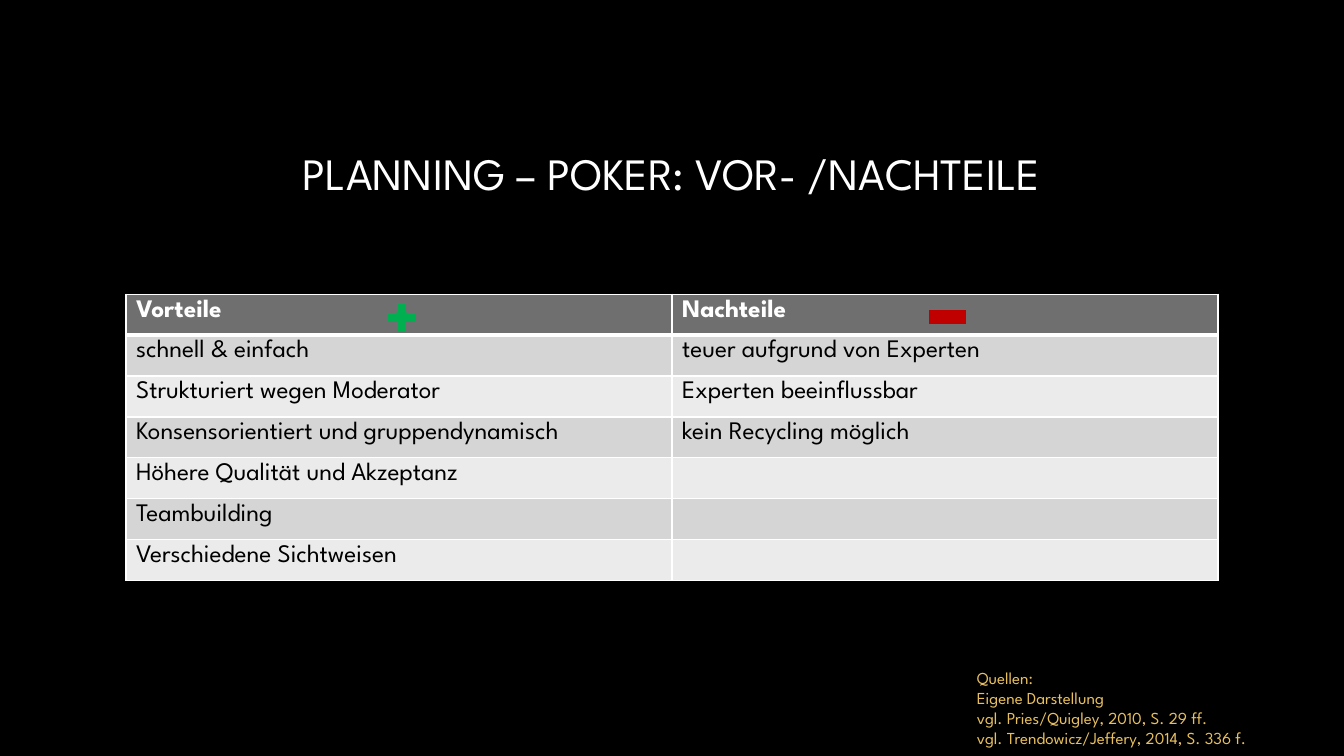
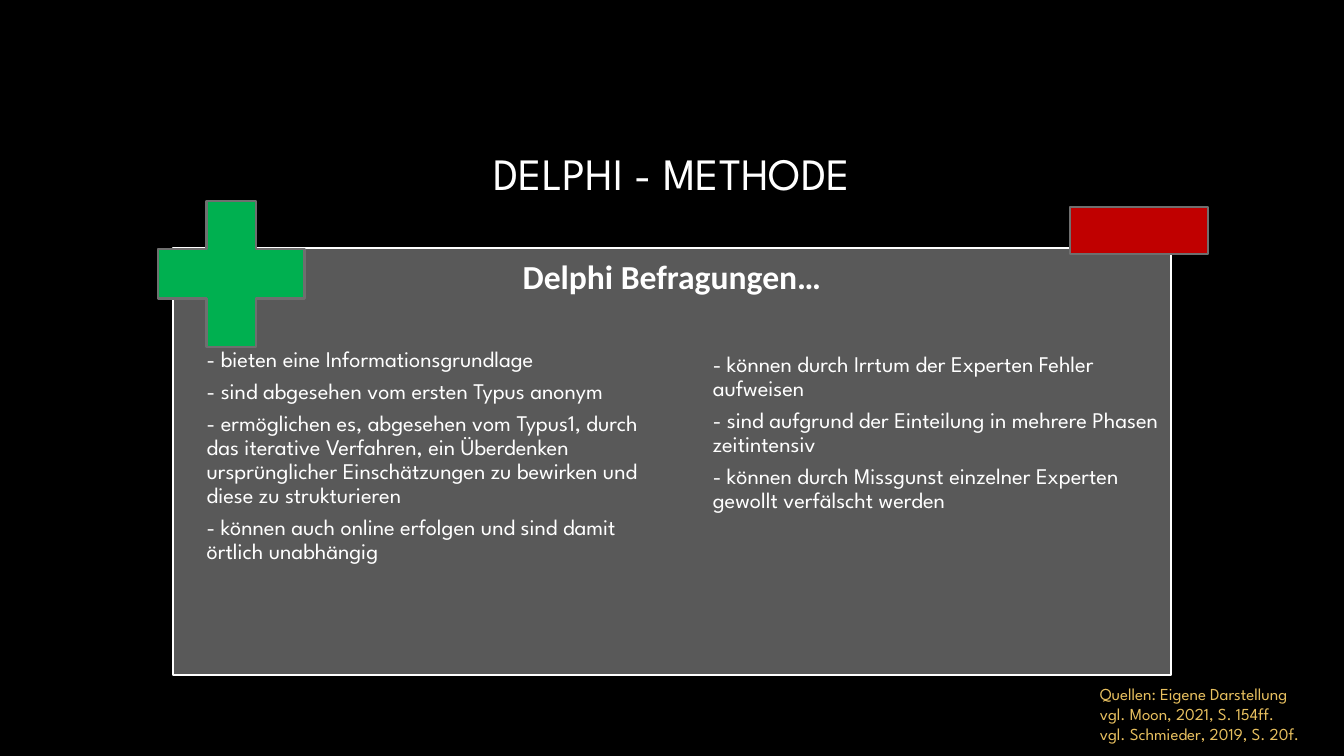
import pptx
import pptx.util
import pptx.dml.color
import pptx.enum.shapes
import pptx.enum.text
import pptx.oxml
import pptx.oxml.ns
from pptx.util import Inches

SHAPE = pptx.enum.shapes.MSO_SHAPE
ALIGN = pptx.enum.text.PP_ALIGN
ANCHOR = pptx.enum.text.MSO_ANCHOR

BLACK, WHITE, GOLD = "000000", "FFFFFF", "E7BF5F"
GREEN, RED = "00B050", "C00000"
GREY, PANEL, BAND_DARK, BAND_LIGHT = "6F6F6F", "595959", "D5D5D5", "EBEBEB"

TITLE = {"size": 32, "color": WHITE}
SOURCE = {"size": 12, "color": GOLD}
POINTS = {"size": 16, "color": WHITE}
HEADING = {"size": 24, "color": WHITE, "bold": True, "name": "Calibri"}
TABLE_HEAD = {"size": 18, "color": WHITE, "bold": True}
TABLE_BODY = {"size": 18, "color": BLACK, "bold": False}
POINT_SPACING = {"line_spacing": 0.9, "space_after": pptx.util.Pt(5.6)}
HEADING_SPACING = {"alignment": ALIGN.CENTER, "line_spacing": 1.07,
                   "space_after": pptx.util.Pt(8)}


def rgb(value):
    return pptx.dml.color.RGBColor.from_string(value)


def apply(target, values):
    for name, value in values.items():
        setattr(target, name, value)


class Presenter:
    font = "League Spartan"

    def __init__(self):
        self.deck = pptx.Presentation()
        self.deck.slide_width = Inches(13.33)
        self.deck.slide_height = Inches(7.5)
        self.page = None

    def add_page(self, title):
        self.page = self.deck.slides.add_slide(self.deck.slide_layouts[5])
        self.page.background.fill.solid()
        self.page.background.fill.fore_color.rgb = rgb(BLACK)
        box = self.page.shapes.title
        apply(box, {"left": Inches(1.25), "top": Inches(0.67),
                    "width": Inches(10.83), "height": Inches(2.08)})
        box.text_frame.vertical_anchor = ANCHOR.MIDDLE
        self.set_text(box.text_frame, [title], TITLE, {"alignment": ALIGN.CENTER})

    def set_text(self, frame, lines, style, spacing=None):
        values = {"name": self.font, **style}
        color = rgb(values.pop("color"))
        values["size"] = pptx.util.Pt(values["size"])
        frame.text = "\n".join(lines)
        for para in frame.paragraphs:
            apply(para, spacing or {})
            for span in para.runs:
                apply(span.font, values)
                span.font.color.rgb = color

    def text(self, left, top, width, height, lines, style, spacing=None, inset=None):
        box = self.page.shapes.add_textbox(
            Inches(left), Inches(top), Inches(width), Inches(height))
        frame = box.text_frame
        frame.word_wrap = True
        if inset is not None:
            apply(frame, {f"margin_{side}": Inches(inset)
                          for side in ("left", "top", "right", "bottom")})
        self.set_text(frame, lines, style, spacing)

    def shape(self, kind, left, top, width, height, fill, line=GREY):
        shape = self.page.shapes.add_shape(
            kind, Inches(left), Inches(top), Inches(width), Inches(height))
        shape.shadow.inherit = False
        shape.fill.solid()
        shape.fill.fore_color.rgb = rgb(fill)
        shape.line.color.rgb = rgb(line)
        shape.line.width = pptx.util.Pt(1.5)
        return shape

    def plus(self, left, top, width, height):
        self.shape(SHAPE.CROSS, left, top, width, height, GREEN).adjustments[0] = 0.33

    def minus(self, left, top, width, height):
        self.shape(SHAPE.RECTANGLE, left, top, width, height, RED)

    def line(self, start, end, color):
        line = self.page.shapes.add_connector(
            pptx.enum.shapes.MSO_CONNECTOR.STRAIGHT,
            *(Inches(value) for value in start + end))
        line.line.color.rgb = rgb(color)
        line.line.width = pptx.util.Pt(1.5)
        line._element.spPr.append(pptx.oxml.parse_xml(
            f'<a:effectLst {pptx.oxml.ns.nsdecls("a")}/>'))

    def borders(self, cell, widths):
        properties = cell._tc.get_or_add_tcPr()
        for index, (side, width) in enumerate(widths.items()):
            properties.insert(index, pptx.oxml.parse_xml(
                f'<a:ln{side} {pptx.oxml.ns.nsdecls("a")} w="{int(pptx.util.Pt(width))}">'
                f'<a:solidFill><a:srgbClr val="{WHITE}"/></a:solidFill></a:ln{side}>'))

    def table(self, left, top, width, height, rows):
        table = self.page.shapes.add_table(
            len(rows), len(rows[0]), Inches(left), Inches(top),
            Inches(width), Inches(height)).table
        for row_index, row in enumerate(rows):
            head = row_index == 0
            fill = GREY if head else BAND_DARK if row_index % 2 else BAND_LIGHT
            for column_index, words in enumerate(row):
                cell = table.cell(row_index, column_index)
                cell.fill.solid()
                cell.fill.fore_color.rgb = rgb(fill)
                self.set_text(cell.text_frame, [words], TABLE_HEAD if head else TABLE_BODY)
                self.borders(cell, {"L": 1, "R": 1, "T": 3 if row_index == 1 else 1,
                                    "B": 3 if head else 1})


def build_poker(show):
    show.add_page("PLANNING – POKER: VOR- /NACHTEILE")
    show.table(1.25, 2.92, 10.83, 2.84, [
        ("Vorteile", "Nachteile"),
        ("schnell & einfach", "teuer aufgrund von Experten"),
        ("Strukturiert wegen Moderator", "Experten beeinflussbar"),
        ("Konsensorientiert und gruppendynamisch", "kein Recycling möglich"),
        ("Höhere Qualität und Akzeptanz", ""),
        ("Teambuilding", ""),
        ("Verschiedene Sichtweisen", ""),
    ])
    show.plus(3.83, 3, 0.3, 0.29)
    show.minus(9.2, 3.07, 0.39, 0.16)
    show.text(9.59, 6.57, 3.46, 0.91, [
        "Quellen:",
        "Eigene Darstellung",
        "vgl. Pries/Quigley, 2010, S. 29 ff.",
        "vgl. Trendowicz/Jeffery, 2014, S. 336 f.",
    ], SOURCE)


def build_delphi(show):
    show.add_page("DELPHI - METHODE")
    show.shape(SHAPE.RECTANGLE, 1.72, 2.46, 9.89, 4.24, PANEL, WHITE)
    show.text(2.02, 3.42, 4.55, 3.31, [
        "- bieten eine Informationsgrundlage",
        "- sind abgesehen vom ersten Typus anonym",
        "- ermöglichen es, abgesehen vom Typus1, durch das iterative Verfahren, "
        "ein Überdenken ursprünglicher Einschätzungen zu bewirken und diese zu "
        "strukturieren",
        "- können auch online erfolgen und sind damit örtlich unabhängig",
    ], POINTS, POINT_SPACING, 0.03)
    show.text(7.04, 3.47, 4.48, 3.27, [
        "- können durch Irrtum der Experten Fehler aufweisen",
        "- sind aufgrund der Einteilung in mehrere Phasen zeitintensiv",
        "- können durch Missgunst einzelner Experten gewollt verfälscht werden",
    ], POINTS, POINT_SPACING, 0.03)
    show.plus(1.57, 1.99, 1.45, 1.45)
    show.minus(10.61, 2.05, 1.37, 0.47)
    show.line((6.66, 3.21), (6.67, 6.35), PANEL)
    show.text(3.33, 2.46, 6.67, 0.51, ["Delphi Befragungen…"], HEADING, HEADING_SPACING)
    show.text(10.81, 6.73, 2.53, 0.71, [
        "Quellen: Eigene Darstellung",
        "vgl. Moon, 2021, S. 154ff.",
        "vgl. Schmieder, 2019, S. 20f.",
    ], SOURCE)


def main():
    show = Presenter()
    build_poker(show)
    build_delphi(show)
    show.deck.save("out.pptx")


if __name__ == "__main__":
    main()
